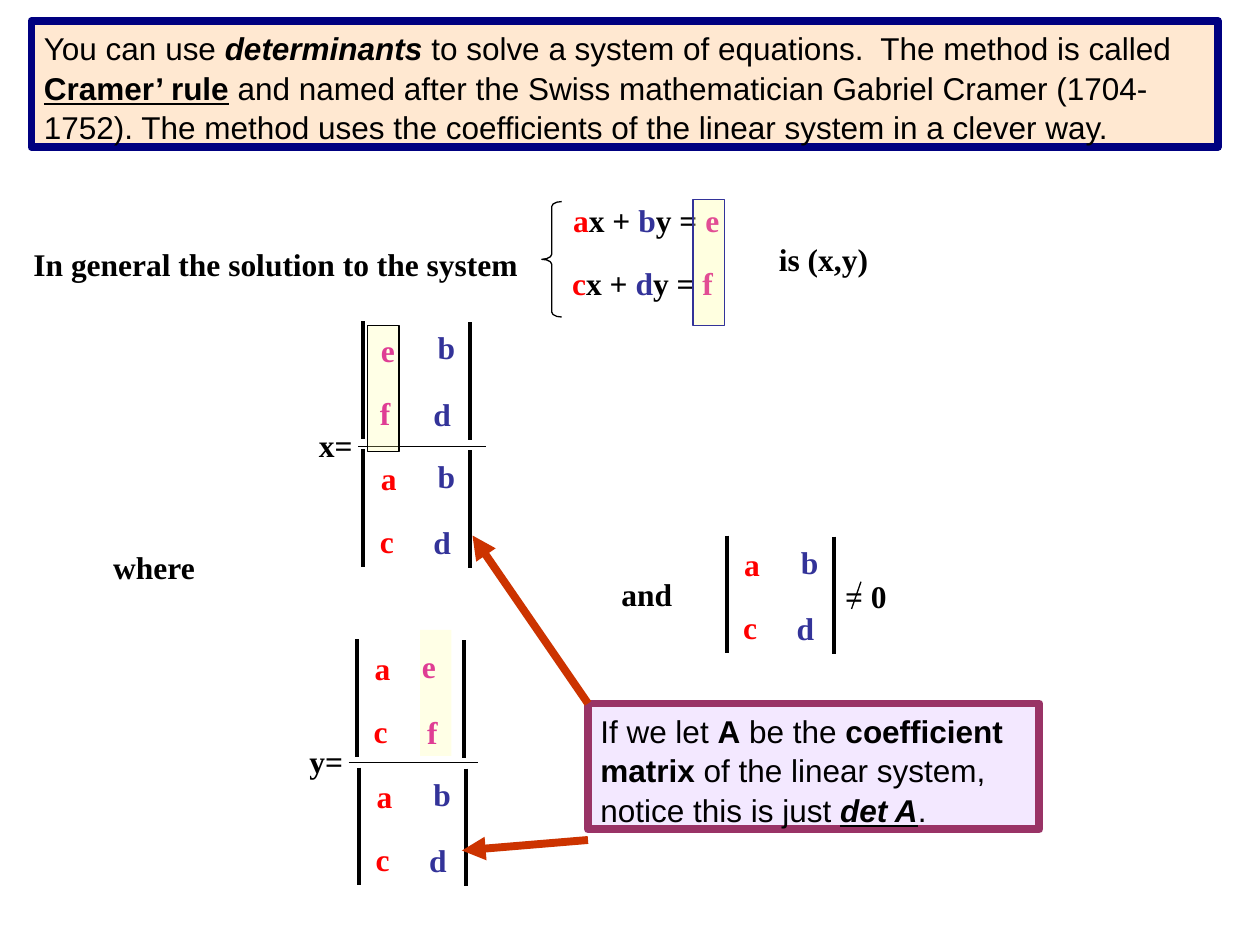
from lxml.etree import SubElement
from pptx import Presentation
from pptx.dml.color import RGBColor
from pptx.enum.shapes import MSO_CONNECTOR, MSO_SHAPE
from pptx.enum.text import MSO_ANCHOR, PP_ALIGN
from pptx.oxml.ns import qn
from pptx.util import Inches, Pt

HUES = {
    "black": "000000", "red": "FF0000", "blue": "333399", "pink": "D60093",
    "navy": "000080", "peach": "FFCC99", "yellow": "FFFF99",
    "lilac": "CC99FF", "plum": "993366", "rust": "CC3300",
}
HUES = {name: RGBColor.from_string(code) for name, code in HUES.items()}
INK = {"a": "red", "c": "red", "b": "blue", "d": "blue", "e": "pink", "f": "pink"}

deck = Presentation()
deck.slide_width, deck.slide_height = Inches(10), Inches(7.5)
slide = deck.slides.add_slide(deck.slide_layouts[6])
shapes = slide.shapes
unit = deck.slide_width / 120


def write(shape, parts, face):
    frame = shape.text_frame
    frame.word_wrap = True
    frame.vertical_anchor = MSO_ANCHOR.TOP
    line = frame.paragraphs[0]
    line.alignment = PP_ALIGN.LEFT
    for text, hue, style in parts:
        run = line.add_run()
        run.text = text
        font = run.font
        font.name, font.size = face, Pt(18)
        font.color.rgb = HUES[hue]
        font.bold, font.italic, font.underline = (key in style for key in "biu")
    return line


def rule(left, top, right, low, hue="black", width=0.75):
    ends = [round(n * unit) for n in (left, top, right, low)]
    line = shapes.add_connector(MSO_CONNECTOR.STRAIGHT, *ends)
    line.line.color.rgb = HUES[hue]
    line.line.width = Pt(width)
    SubElement(line._element.spPr, qn("a:effectLst"))
    return line


words = [
    (2, 22.7, 50, "In general the solution to the system"),
    (53.4, 18.6, 18.1, "ax + by = e"),
    (53.3, 24.6, 18.1, "cx + dy = f"),
    (73, 22.3, 12, "is (x,y)"),
    (9.6, 51.6, 10.7, "where"),
    (29.2, 40, 6.5, "x="),
    (28.3, 70.1, 6.5, "y="),
    (58, 54.2, 7.7, "and"),
    (79.3, 54.4, 8.8, "= 0"),
]

for left, top, grid in [
    (34.6, 42.8, "abcd"), (34.2, 73.1, "abcd"), (34.6, 30.6, "ebfd"),
    (34, 60.9, "aecf"), (69.2, 51, "abcd"),
]:
    for shift, drop in [(0, 0), (10.2, 0.1)]:
        rule(left + shift, top + drop, left + shift, top + drop + 11.2, width=2.25)
    spots = [(0.5, 0.3), (5.9 if grid[1] == "b" else 5, 0.1), (0.4, 6.3), (5.5, 6.4)]
    for sign, (shift, drop) in zip(grid, spots):
        words.append((left + shift, top + drop, 6, sign))

for left, top, width, text in words:
    place = [round(n * unit) for n in (left, top, width, 4.8)]
    if len(text) == 1 or text.endswith(("e", "f")) and "=" in text:
        parts = [(sign, INK.get(sign, "black"), "b") for sign in text]
    else:
        parts = [(text, "black", "b")]
    write(shapes.add_textbox(*place), parts, "Times New Roman")

rule(34.1, 42.5, 46.3, 42.5)
rule(33.2, 72.6, 45.5, 72.6)
rule(82, 55.4, 81.1, 58)

brace = shapes.add_shape(
    MSO_SHAPE.LEFT_BRACE, *[round(n * unit) for n in (51.6, 19.2, 1.9, 11)])
brace.adjustments[0] = 0.25
brace.shadow.inherit = False
brace.fill.background()
brace.line.color.rgb = HUES["black"]
brace.line.width = Pt(0.75)

intro = [
    ("You can use ", "black", ""),
    ("determinants", "black", "bi"),
    (" to solve a system of equations.  The method is called ", "black", ""),
    ("Cramer’ rule", "black", "bu"),
    (" and named after the Swiss mathematician Gabriel Cramer (1704-1752). "
     "The method uses the coefficients of the linear system in a clever way.",
     "black", ""),
]
note = [
    ("If we let ", "black", ""),
    ("A", "black", "b"),
    (" be the ", "black", ""),
    ("coefficient matrix", "black", "b"),
    (" of the linear system, notice this is just ", "black", ""),
    ("det A", "black", "biu"),
    (".", "black", ""),
]
for left, top, width, fill, alpha, edge, weight, parts in [
    (3, 2, 113, "peach", 45, "navy", 4.5, intro),
    (66, 19, 3, "yellow", 30, "blue", 0.75, []),
    (35, 31, 3, "yellow", 24, "black", 0.75, []),
    (40, 60, 3, "yellow", 24, None, 0, []),
    (56, 67, 43, "lilac", 22, "plum", 4.5, note),
]:
    place = [round(n * unit) for n in (left, top, width, 12)]
    box = shapes.add_shape(MSO_SHAPE.RECTANGLE, *place)
    box.shadow.inherit = False
    box.fill.solid()
    box.fill.fore_color.rgb = HUES[fill]
    tint = box._element.spPr.find(qn("a:solidFill"))[0]
    SubElement(tint, qn("a:alpha"), val=str(alpha * 1000))
    if edge:
        box.line.color.rgb = HUES[edge]
        box.line.width = Pt(weight)
    else:
        box.line.fill.background()
    if parts:
        write(box, parts, "Arial").line_spacing = 1.05

for ends in [(56, 67, 45, 51), (56, 80, 44, 81)]:
    arrow = rule(*ends, hue="rust", width=4.5)
    SubElement(arrow.line._get_or_add_ln(), qn("a:tailEnd"), type="triangle")

deck.save("out.pptx")
